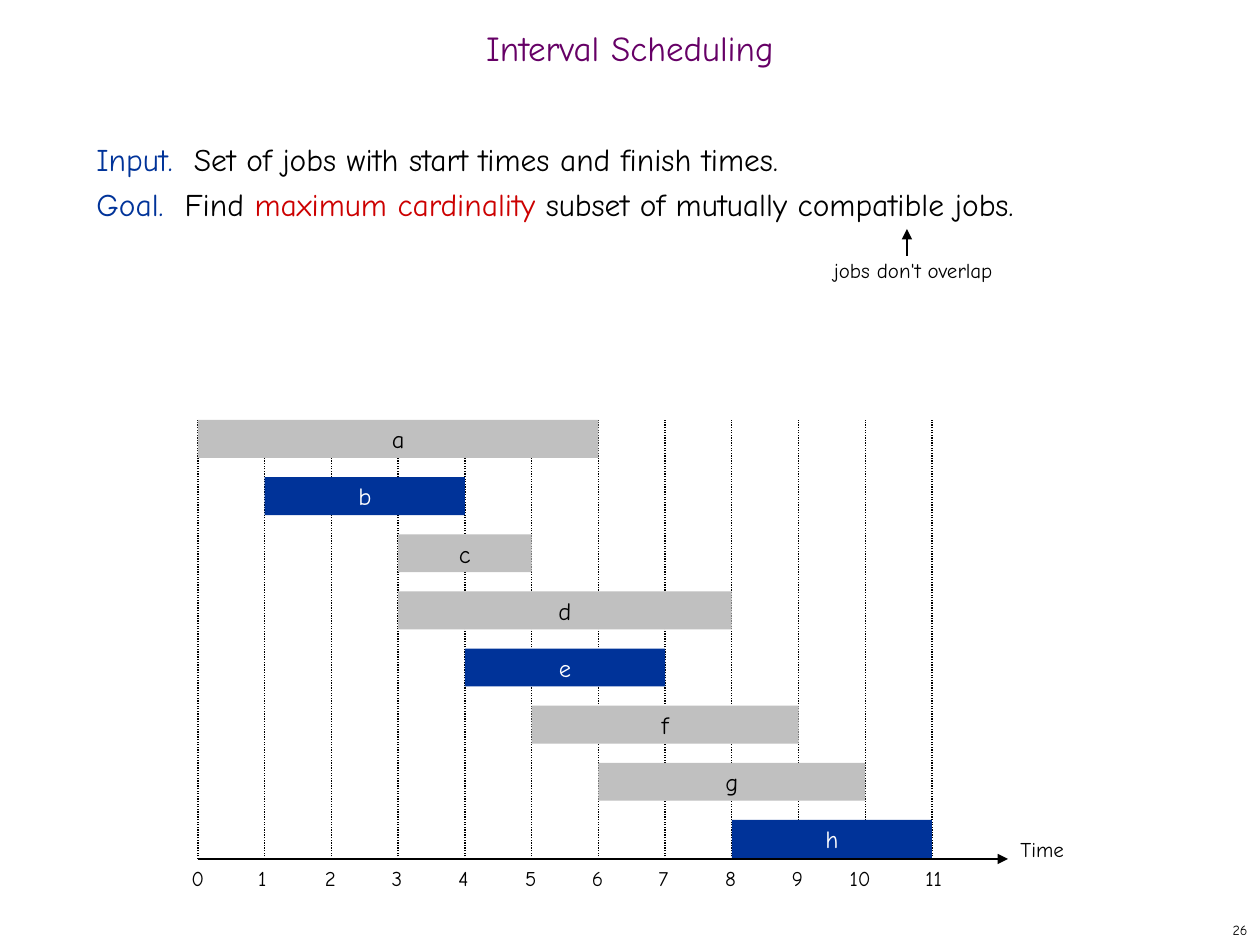
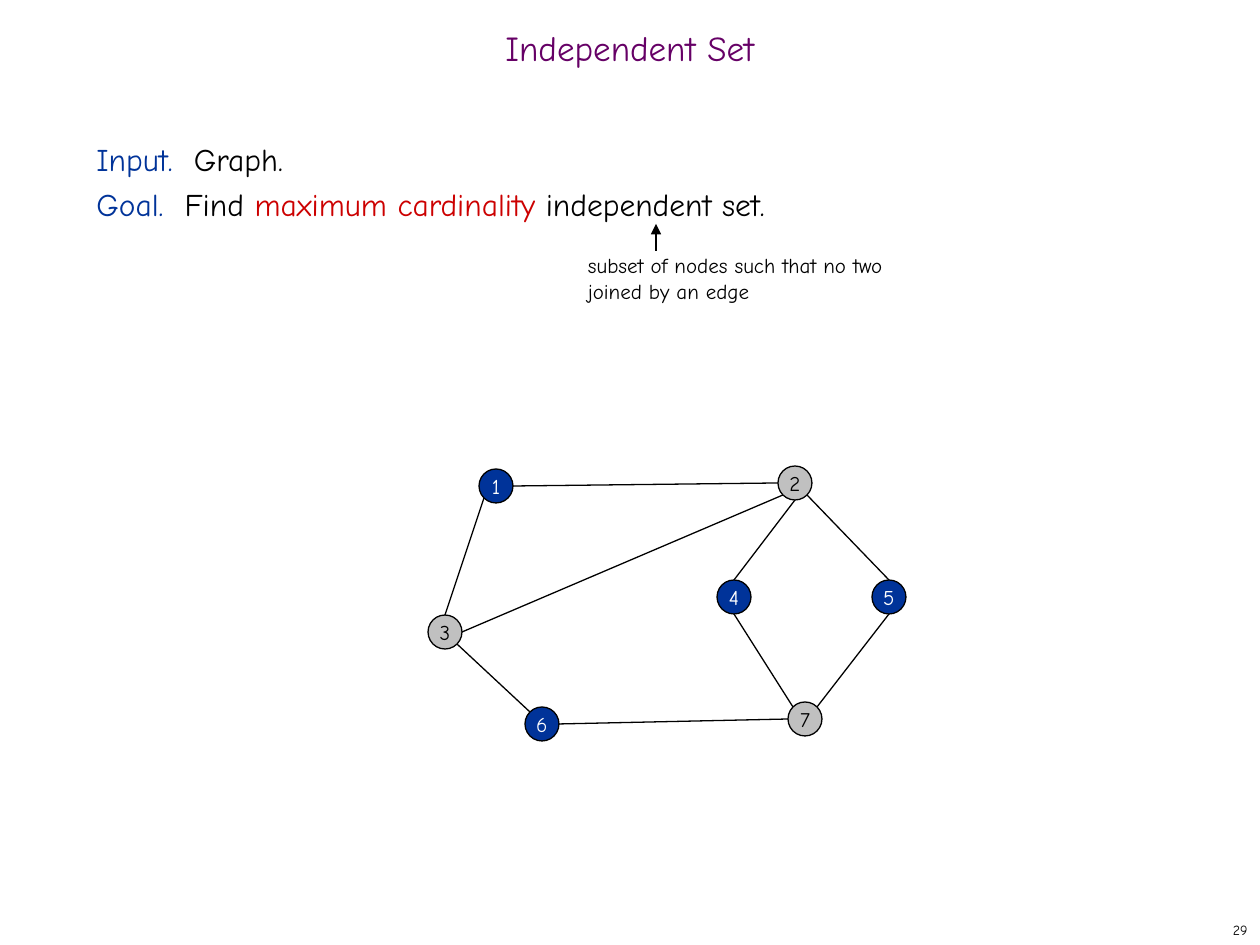
"""Build two slides: interval scheduling and independent set."""
from math import cos, radians, sin

from lxml.etree import SubElement
from pptx import Presentation
from pptx.dml.color import RGBColor
from pptx.enum.dml import MSO_LINE
from pptx.enum.shapes import MSO_CONNECTOR, MSO_SHAPE
from pptx.enum.text import MSO_ANCHOR as ANCHOR, PP_ALIGN as ALIGN
from pptx.oxml.ns import qn
from pptx.util import Emu, Pt

FONT = "Comic Neue"
BLACK = RGBColor(0x00, 0x00, 0x00)
WHITE = RGBColor(0xFF, 0xFF, 0xFF)
BLUE = RGBColor(0x00, 0x33, 0x99)
GRAY = RGBColor(0xC0, 0xC0, 0xC0)
RED = RGBColor(0xCC, 0x00, 0x00)
PURPLE = RGBColor(0x66, 0x00, 0x66)
SCALE = 914400 / 126


def add_text(slide, text, box, size=12, color=BLACK, align=ALIGN.LEFT, anchor=ANCHOR.TOP,
             wrap=True, inset=(12.6, 6.3), spacing=None, preset=None, fill=None, outline=None):
    lengths = [Emu(round(value * SCALE)) for value in box]
    if preset is None:
        shape = slide.shapes.add_textbox(*lengths)
    else:
        shape = slide.shapes.add_shape(preset, *lengths)
        shape.shadow.inherit = False
        shape.fill.solid()
        shape.fill.fore_color.rgb = fill
        if outline is None:
            shape.line.fill.background()
        else:
            shape.line.color.rgb = outline
            shape.line.width = Pt(0.75)
    frame = shape.text_frame
    frame.word_wrap = wrap
    frame.vertical_anchor = anchor
    frame.margin_left = frame.margin_right = Emu(round(inset[0] * SCALE))
    frame.margin_top = frame.margin_bottom = Emu(round(inset[1] * SCALE))
    paragraphs = [[(text, color)]] if isinstance(text, str) else text
    for index, parts in enumerate(paragraphs):
        paragraph = frame.add_paragraph() if index else frame.paragraphs[0]
        paragraph.alignment = align
        paragraph.line_spacing = spacing
        for words, tint in parts:
            for number, line in enumerate(words.split("\n")):
                if number:
                    paragraph.add_line_break()
                run = paragraph.add_run()
                run.text = line
                run.font.name = FONT
                run.font.size = Pt(size)
                run.font.color.rgb = tint


def add_line(slide, start, end, width=0.75, dash=None, arrow=False):
    points = [Emu(round(value * SCALE)) for value in (*start, *end)]
    connector = slide.shapes.add_connector(MSO_CONNECTOR.STRAIGHT, *points)
    connector.line.color.rgb = BLACK
    connector.line.width = Pt(width)
    if dash is not None:
        connector.line.dash_style = dash
    properties = connector._element.spPr
    if arrow:
        SubElement(properties.find(qn("a:ln")), qn("a:tailEnd"), type="triangle")
    SubElement(properties, qn("a:effectLst"))


presentation = Presentation()
presentation.slide_width = Emu(round(1260 * SCALE))
presentation.slide_height = Emu(round(945 * SCALE))

topics = [
    ("Interval Scheduling", "26", "Set of jobs with start times and finish times.",
     " subset of mutually compatible jobs.", "jobs don't overlap", (834, 258, 160, 25), 907),
    ("Independent Set", "29", "Graph.", " independent set.",
     "subset of nodes such that no two \njoined by an edge", (588, 253, 302, 50), 656),
]
slides = []
for title, number, problem, goal, caption, caption_box, arrow_x in topics:
    slide = presentation.slides.add_slide(presentation.slide_layouts[6])
    slides.append(slide)
    add_text(slide, number, (998, 914, 262, 32), size=8, align=ALIGN.RIGHT, anchor=ANCHOR.MIDDLE)
    add_text(slide, title, (0, 21, 1260, 63), size=20, color=PURPLE, align=ALIGN.CENTER,
             anchor=ANCHOR.MIDDLE, spacing=0.7)
    statement = [
        [("Input.  ", BLUE), (problem, BLACK)],
        [("Goal.  ", BLUE), ("Find ", BLACK), ("maximum cardinality", RED), (goal, BLACK)],
    ]
    add_text(slide, statement, (84, 126, 1081, 746), size=18, spacing=Pt(26))
    add_text(slide, caption, caption_box, wrap=False, inset=(0, 0))
    caption_top = caption_box[1]
    add_line(slide, (arrow_x, caption_top - 2), (arrow_x, caption_top - 29), arrow=True)

interval_slide, graph_slide = slides

LAST_TIME = 11
AXIS_LEFT, AXIS_Y, CHART_TOP = 198, 859, 420
times = [AXIS_LEFT + 734 * time / LAST_TIME for time in range(LAST_TIME + 1)]
for time, x in enumerate(times):
    add_line(interval_slide, (x, AXIS_Y), (x, CHART_TOP), dash=MSO_LINE.ROUND_DOT)
    label_left = x - (28 if time == 10 else 19)
    add_text(interval_slide, str(time), (label_left, AXIS_Y, 58, 38))

jobs = [("a", 0, 6), ("b", 1, 4), ("c", 3, 5), ("d", 3, 8),
        ("e", 4, 7), ("f", 5, 9), ("g", 6, 10), ("h", 8, 11)]
for row, (job, start, finish) in enumerate(jobs):
    chosen = job in "beh"
    bar = (times[start], CHART_TOP + row * 400 / 7, times[finish] - times[start], 38)
    add_text(interval_slide, job, bar, size=14, color=WHITE if chosen else BLACK,
             align=ALIGN.CENTER, anchor=ANCHOR.MIDDLE, wrap=False,
             preset=MSO_SHAPE.RECTANGLE, fill=BLUE if chosen else GRAY)
add_line(interval_slide, (AXIS_LEFT, AXIS_Y), (1008, AXIS_Y), width=1, arrow=True)
add_text(interval_slide, "Time", (1008, 830, 105, 38))

RADIUS = 17
ANGLES = {"E": 0, "SE": 45, "S": 90, "SW": 135, "W": 180, "NW": 225, "N": 270, "NE": 315}
nodes = {1: (496, 486), 2: (795, 483), 3: (445, 632), 4: (734, 597),
         5: (889, 597), 6: (542, 724), 7: (805, 719)}
edges = [(1, "E", 2, "W"), (1, "SW", 3, "N"), (3, "E", 2, "SW"),
         (4, "N", 2, "S"), (2, "SE", 5, "N"), (4, "S", 7, "NW"),
         (5, "S", 7, "NE"), (3, "SE", 6, "NW"), (6, "E", 7, "W")]
for first, first_side, second, second_side in edges:
    ends = []
    for node, side in ((first, first_side), (second, second_side)):
        x, y = nodes[node]
        angle = radians(ANGLES[side])
        ends.append((x + RADIUS * cos(angle), y + RADIUS * sin(angle)))
    add_line(graph_slide, *ends)
for node, (x, y) in nodes.items():
    chosen = node in (1, 4, 5, 6)
    add_text(graph_slide, str(node), (x - RADIUS, y - RADIUS, 2 * RADIUS, 2 * RADIUS),
             color=WHITE if chosen else BLACK, align=ALIGN.CENTER, anchor=ANCHOR.MIDDLE,
             wrap=False, preset=MSO_SHAPE.OVAL, fill=BLUE if chosen else GRAY, outline=BLACK)

presentation.save("out.pptx")
